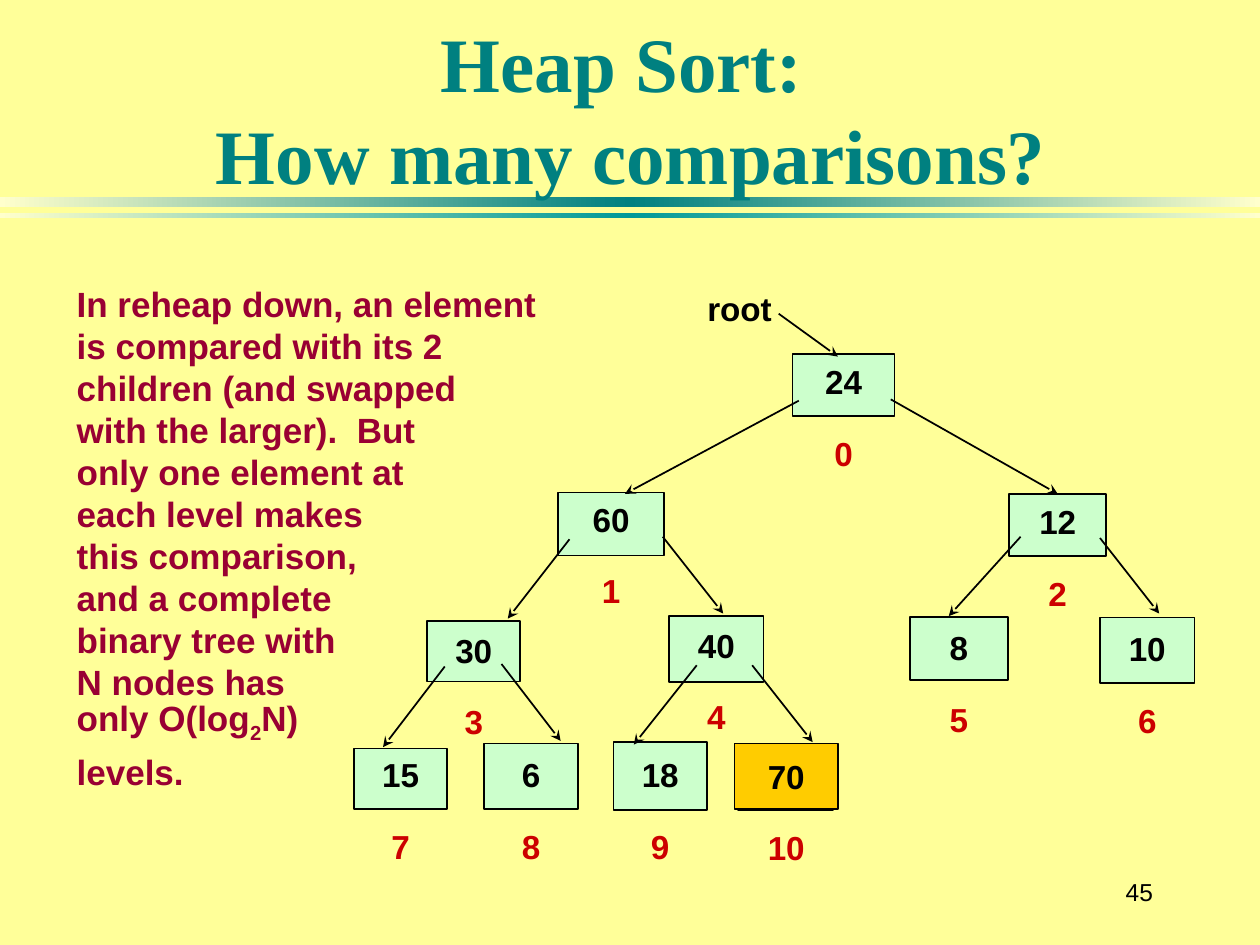
from copy import deepcopy
from dataclasses import dataclass
from typing import NamedTuple

from lxml import etree
from pptx import Presentation
from pptx import util as u
from pptx.dml.color import RGBColor
from pptx.enum import shapes, text
from pptx.oxml.ns import qn

Inches = u.Inches


@dataclass(frozen=True)
class Theme:
    background: str = "FFFF99"
    bar_edge: str = "FFFFCC"
    bar_dark: str = "008080"
    bar_light: str = "009999"
    ink: str = "000000"
    explanation: str = "990033"
    node: str = "CCFFCC"
    highlight: str = "FFCC00"
    index: str = "CC0000"
    serif: str = "Times New Roman"
    sans: str = "Arial"
    title_size: int = 44
    body_size: int = 20
    label_size: int = 19
    number_size: int = 14


THEME = Theme()


class Box(NamedTuple):
    left: float
    top: float
    width: float
    height: float

    def inside(self, left, top, width, height):
        return Box(self.left + left, self.top + top, width, height)

    def lengths(self):
        return [Inches(value) for value in self]


class Node(NamedTuple):
    """A heap entry; the arrow runs from its tip at this node to its parent."""
    value: str
    box: tuple
    label_top: float
    tip: tuple
    tail: tuple
    joined: bool = False
    fill: str = THEME.node


# Heap order, positions relative to the tree's box
NODES = [
    Node("24", (3.49, 0.61, 0.81, 0.49), 0.61, (3.85, 0.63), (3.38, 0.29)),
    Node("60", (1.63, 1.71, 0.84, 0.5), 1.7, (2.16, 1.72), (3.54, 0.98)),
    Node("12", (5.21, 1.72, 0.77, 0.49), 1.72, (5.58, 1.73), (4.27, 0.97), joined=True),
    Node("30", (0.59, 2.73, 0.74, 0.48), 2.74, (1.23, 2.71), (1.72, 2.08)),
    Node("40", (2.51, 2.69, 0.75, 0.52), 2.7, (2.94, 2.67), (2.46, 2.06)),
    Node("8", (4.42, 2.7, 0.78, 0.5), 2.72, (4.73, 2.69), (5.3, 2.06)),
    Node("10", (5.93, 2.7, 0.75, 0.52), 2.73, (6.4, 2.67), (5.93, 2.07)),
    Node("15", (0.01, 3.74, 0.74, 0.48), 3.73, (0.24, 3.73), (0.73, 3.09)),
    Node("6", (1.04, 3.7, 0.75, 0.52), 3.73, (1.65, 3.68), (1.18, 3.07)),
    Node("18", (2.07, 3.69, 0.74, 0.54), 3.73, (2.23, 3.71), (2.73, 3.08)),
    Node("70", (3.03, 3.7, 0.82, 0.52), 3.74, (3.65, 3.69), (3.17, 3.08), fill=THEME.highlight),
]
HIGHLIGHT_BACKING = (3.06, 3.71, 0.75, 0.52)

EXPLANATION = [
    "In reheap down, an element", "is compared with its 2", "children (and swapped",
    "with the larger).  But", "only one element at", "each level makes",
    "this comparison,", "and a complete", "binary tree with", "N nodes has",
    ("only O(log", "2", "N)"), "levels.",
]


def set_font(font, color, **values):
    for name, value in values.items():
        setattr(font, name, value)
    font.color.rgb = RGBColor.from_string(color)


def add_text_box(slide, box, wrap=True):
    frame = slide.shapes.add_textbox(*box.lengths()).text_frame
    frame.word_wrap = wrap
    return frame


def add_rectangle(slide, box):
    rectangle = slide.shapes.add_shape(shapes.MSO_SHAPE.RECTANGLE, *box.lengths())
    rectangle.shadow.inherit = False
    return rectangle


def add_bar(slide, box, middle):
    """Bar that fades from its middle colour to both ends."""
    bar = add_rectangle(slide, box)
    bar.line.fill.background()
    bar.fill.gradient()
    bar.fill.gradient_angle = 0
    first = bar._element.spPr.find(".//" + qn("a:gs"))
    first.addnext(deepcopy(first))
    colors = (THEME.bar_edge, middle, THEME.bar_edge)
    for stop, color, position in zip(bar.fill.gradient_stops, colors, (0, 0.5, 1)):
        stop.color.rgb = RGBColor.from_string(color)
        stop.position = position


def add_header(slide, box):
    add_bar(slide, box.inside(0, 1.56, box.width, 0.08), THEME.bar_dark)
    add_bar(slide, box.inside(0, 1.69, box.width, 0.04), THEME.bar_light)
    title = slide.shapes.title
    slide.shapes._spTree.append(title._element)  # keep the title above the bars
    place = box.inside(0.23, 0.39, 9.56, 1.25).lengths()
    for name, value in zip(("left", "top", "width", "height"), place):
        setattr(title, name, value)
    frame = title.text_frame
    frame.text = "Heap Sort: \vHow many comparisons?"
    frame.auto_size = text.MSO_AUTO_SIZE.NONE
    frame.vertical_anchor = text.MSO_ANCHOR.BOTTOM
    paragraph = frame.paragraphs[0]
    paragraph.alignment = text.PP_ALIGN.CENTER
    for run in paragraph.runs:
        set_font(run.font, THEME.bar_dark, name=THEME.serif,
                 size=u.Pt(THEME.title_size), bold=True)


def add_explanation(slide, box):
    frame = add_text_box(slide, box, wrap=False)
    for number, line in enumerate(EXPLANATION):
        paragraph = frame.add_paragraph() if number else frame.paragraphs[0]
        paragraph.line_spacing = u.Pt(24)
        for part in (line,) if isinstance(line, str) else line:
            run = paragraph.add_run()
            run.text = part
            set_font(run.font, THEME.explanation, name=THEME.sans,
                     size=u.Pt(THEME.body_size), bold=True)
            if part == "2":
                run.font._element.set("baseline", "-25000")
    paragraph.space_before = u.Pt(3.4)  # room below the subscript


def add_label(slide, box, lines):
    """Centred lines, given as (words, colour) pairs."""
    frame = add_text_box(slide, box)
    margins = dict(margin_left=0, margin_right=0, margin_top=Inches(0.04))
    for name, value in margins.items():
        setattr(frame, name, value)
    for number, (words, color) in enumerate(lines):
        paragraph = frame.add_paragraph() if number else frame.paragraphs[0]
        if number:
            paragraph.space_before = u.Pt(18)
        paragraph.alignment = text.PP_ALIGN.CENTER
        run = paragraph.add_run()
        run.text = words
        set_font(run.font, color, name=THEME.sans, size=u.Pt(THEME.label_size), bold=True)


def add_node_box(slide, box, fill):
    rectangle = add_rectangle(slide, box)
    rectangle.fill.solid()
    rectangle.fill.fore_color.rgb = RGBColor.from_string(fill)
    rectangle.line.color.rgb = RGBColor.from_string(THEME.ink)
    rectangle.line.width = u.Pt(1)
    return rectangle


def add_arrow(slide, box, node, rectangle):
    ends = [Inches(origin + offset) for point in (node.tip, node.tail)
            for origin, offset in zip((box.left, box.top), point)]
    arrow = slide.shapes.add_connector(shapes.MSO_CONNECTOR.STRAIGHT, *ends)
    arrow.line.color.rgb = RGBColor.from_string(THEME.ink)
    arrow.line.width = u.Pt(1)
    etree.SubElement(arrow.line._get_or_add_ln(), qn("a:headEnd"), type="stealth")
    etree.SubElement(arrow._element.spPr, qn("a:effectLst"))
    if node.joined:
        arrow.begin_connect(rectangle, 0)


def add_heap_tree(slide, box):
    add_node_box(slide, box.inside(*HIGHLIGHT_BACKING), THEME.node)
    rectangles = [add_node_box(slide, box.inside(*node.box), node.fill) for node in NODES]
    for node, rectangle in zip(NODES, rectangles):
        add_arrow(slide, box, node, rectangle)
    for index, node in enumerate(NODES):
        left, _, width, _ = node.box
        add_label(slide, box.inside(left, node.label_top + 0.02, width, 0.95),
                  [(node.value, THEME.ink), (str(index), THEME.index)])
    add_label(slide, box.inside(2.62, 0.05, 0.9, 0.4), [("root", THEME.ink)])


def add_slide_number(slide, box):
    frame = add_text_box(slide, box, wrap=False)
    frame.vertical_anchor = text.MSO_ANCHOR.MIDDLE
    paragraph = frame.paragraphs[0]
    paragraph.alignment = text.PP_ALIGN.RIGHT
    run = paragraph.add_run()
    run.text = "45"
    set_font(run.font, THEME.ink, name=THEME.sans, size=u.Pt(THEME.number_size))


def main():
    deck = Presentation()
    deck.slide_width, deck.slide_height = Inches(10), Inches(7.5)
    slide = deck.slides.add_slide(deck.slide_layouts.get_by_name("Title Only"))
    slide.background.fill.solid()
    slide.background.fill.fore_color.rgb = RGBColor.from_string(THEME.background)
    add_header(slide, Box(0, 0, 10, 1.75))
    add_explanation(slide, Box(0.51, 2.19, 3.85, 4.15))
    add_heap_tree(slide, Box(2.8, 2.2, 6.7, 4.7))
    add_slide_number(slide, Box(8.58, 6.83, 0.67, 0.5))
    deck.save("out.pptx")


if __name__ == "__main__":
    main()
